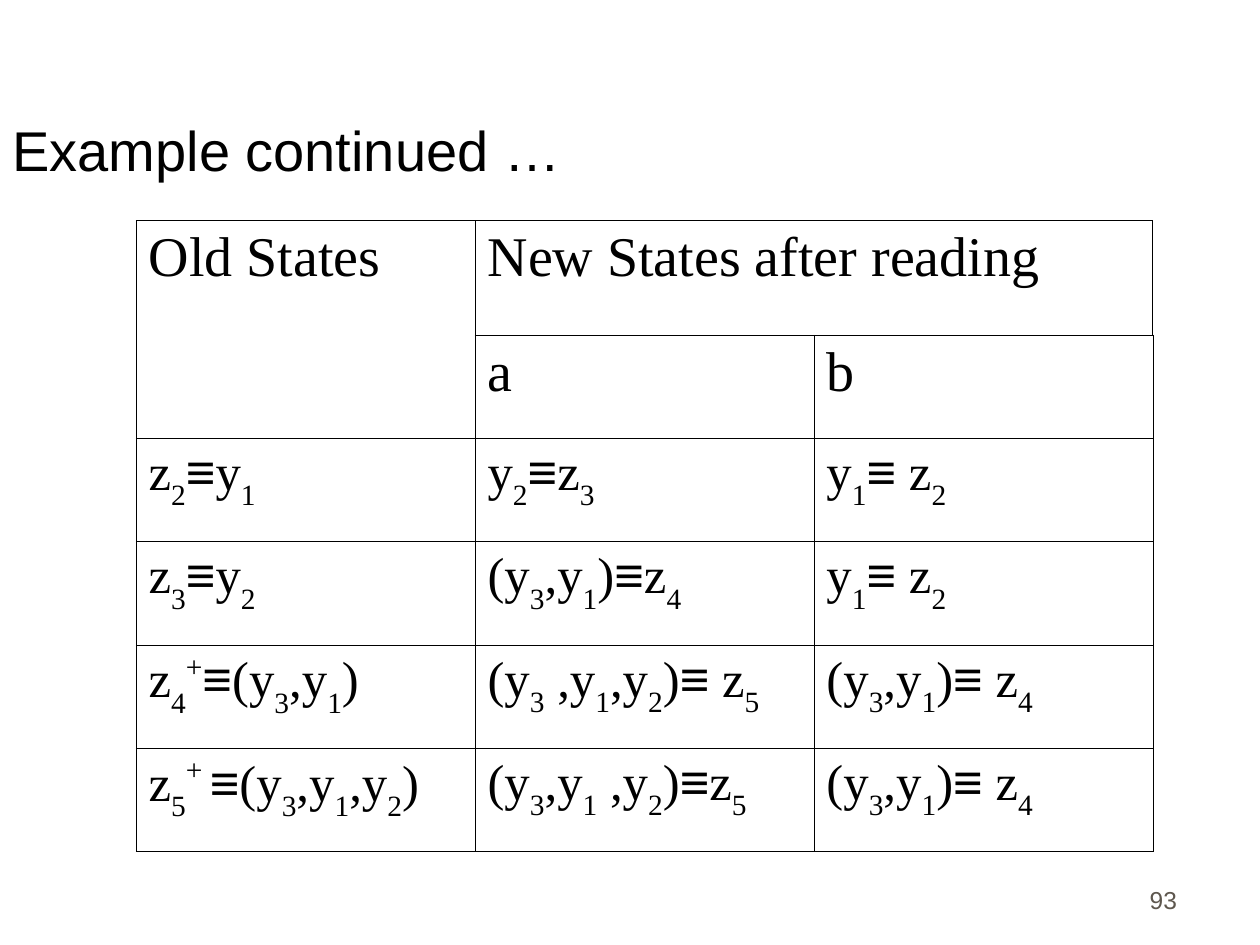
from lxml.etree import SubElement
from pptx import Presentation
from pptx.dml.color import RGBColor
from pptx.enum.text import MSO_ANCHOR as Anchor, PP_ALIGN as Align
from pptx.oxml.ns import qn
from pptx.util import Inches, Pt

TITLE = "Example continued …"
PAGE = "93"
HEADINGS = [
    ("Old States", "New States after reading", ""),
    ("", "a", "b"),
]
TRANSITIONS = [
    ("z|_2|≡|y|_1", "y|_2|≡|z|_3", "y|_1|≡| z|_2"),
    ("z|_3|≡|y|_2", "(y|_3|,y|_1|)|≡|z|_4", "y|_1|≡| z|_2"),
    ("z|_4|^+|≡|(y|_3|,y|_1|)", "(y|_3| ,y|_1|,y|_2|)|≡| z|_5",
     "(y|_3|,y|_1|)|≡| z|_4"),
    ("z|_5|^+ |≡|(y|_3|,y|_1|,y|_2|)", "(y|_3|,y|_1| ,y|_2|)|≡|z|_5",
     "(y|_3|,y|_1|)|≡| z|_4"),
]
THEME = {
    "sans": "Arial", "serif": "Times New Roman",
    "ink": "000000", "muted": "5E574E",
    "title": 32, "heading": 32, "formula": 29, "page": 14,
    "inner_line": 0.45, "outer_line": 0.06,
}
BASELINES = {"_": "-30000", "^": "40000"}
COLUMN_WIDTH, FIRST_ROW, ROW_HEIGHT = 2.69, 0.91, 0.82


def write(frame, text, font, size, color=THEME["ink"], align=Align.LEFT):
    paragraph = frame.paragraphs[0]
    paragraph.alignment = align
    for part in text.split("|"):
        run = paragraph.add_run()
        baseline = BASELINES.get(part[:1])
        run.text = part[1:] if baseline else part
        run.font.name = THEME["sans"] if part == "≡" else font
        run.font.size = Pt(size)
        run.font.color.rgb = RGBColor.from_string(color)
        if baseline:
            run._r.get_or_add_rPr().set("baseline", baseline)


def add_label(slide, text, left, top, width, height, **text_format):
    label = slide.shapes.add_textbox(
        Inches(left), Inches(top), Inches(width), Inches(height))
    frame = label.text_frame
    frame.word_wrap = True
    frame.vertical_anchor = Anchor.BOTTOM
    write(frame, text, **text_format)


def set_borders(cell, outer_sides):
    properties = cell._tc.get_or_add_tcPr()
    for side in "LRTB":
        weight = THEME["outer_line" if side in outer_sides else "inner_line"]
        line = SubElement(properties, qn(f"a:ln{side}"), w=str(int(Pt(weight))))
        fill = SubElement(line, qn("a:solidFill"))
        SubElement(fill, qn("a:srgbClr"), val=THEME["ink"])


def add_state_table(slide):
    rows = HEADINGS + TRANSITIONS
    last_row, last_column = len(rows) - 1, len(rows[0]) - 1
    states = slide.shapes.add_table(
        len(rows), len(rows[0]), Inches(1.08), Inches(1.75),
        Inches(COLUMN_WIDTH * len(rows[0])),
        Inches(FIRST_ROW + ROW_HEIGHT * last_row)).table
    states.first_row = states.horz_banding = False
    for column in states.columns:
        column.width = Inches(COLUMN_WIDTH)
    for r, row in enumerate(rows):
        states.rows[r].height = Inches(ROW_HEIGHT if r else FIRST_ROW)
        size = THEME["heading" if r < len(HEADINGS) else "formula"]
        for c, text in enumerate(row):
            cell = states.cell(r, c)
            edges = {"T": r == 0, "B": r == last_row,
                     "L": c == 0, "R": c == last_column}
            set_borders(cell, [side for side in edges if edges[side]])
            cell.fill.background()
            if text:
                write(cell.text_frame, text, font=THEME["serif"], size=size)
    states.cell(0, 0).merge(states.cell(1, 0))
    states.cell(0, 1).merge(states.cell(0, 2))


def main():
    """Build the state transition slide."""
    deck = Presentation()
    deck.slide_width, deck.slide_height = Inches(10), Inches(7.5)
    slide = deck.slides.add_slide(deck.slide_layouts[6])
    add_label(slide, PAGE, 7.36, 6.81, 2.08, 0.5, font=THEME["sans"],
              size=THEME["page"], color=THEME["muted"], align=Align.RIGHT)
    add_label(slide, TITLE, 0, 0.25, 8.5, 1.25,
              font=THEME["sans"], size=THEME["title"])
    add_state_table(slide)
    deck.save("out.pptx")


if __name__ == "__main__":
    main()
